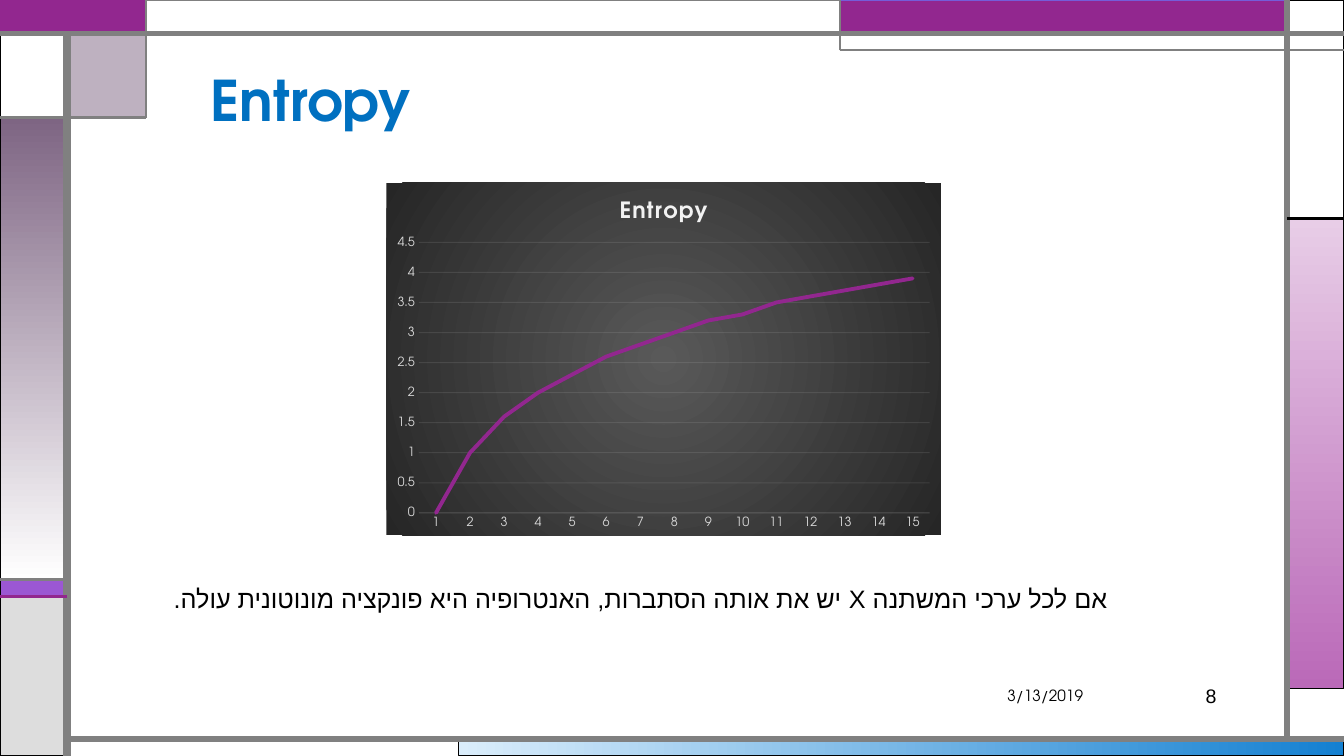
from dataclasses import dataclass
from math import log2

from lxml import etree
from pptx import Presentation
from pptx import util as u
from pptx.chart.data import CategoryChartData
from pptx.dml.color import RGBColor
from pptx.enum import chart as ch
from pptx.enum import shapes, text
from pptx.oxml import parse_xml
from pptx.oxml.ns import nsdecls, qn

PX = 9525  # EMU in one px, 96 px to the inch
HEAD, SANS = "TeX Gyre Adventor", "Arial"
GREY, PLUM, MAUVE = "808080", "92278F", "7E6583"
WHITE, BLACK, PALE, MIST = "FFFFFF", "000000", "F2F2F2", "D9D9D9"

# Grid of the frame
W, H = 1280, 720
LEFT, TAB, MID, RIGHT = 64, 139, 800, 1226
TOP, STEP, BASE = 32, 112, 704


@dataclass
class Panel:
    box: tuple[int, int, int, int]  # left, top, right, bottom
    fill: str
    to: str = ""  # second colour of a gradient
    angle: int = 90  # clockwise
    alpha: int = 100
    line: str = BLACK
    width: float = 0.75


@dataclass
class Rule:
    ends: tuple[int, int, int, int]
    width: float
    hue: str = GREY


@dataclass
class Label:
    box: tuple[int, int, int, int]  # left, top, width, height
    words: str
    size: int
    font: str = SANS
    hue: str = BLACK
    bold: bool = False
    align: text.PP_ALIGN = text.PP_ALIGN.RIGHT
    anchor: text.MSO_ANCHOR = text.MSO_ANCHOR.MIDDLE
    rtl: bool = False
    space: float = 1.0


PANELS = [
    Panel((437, BASE, W, H), "DAEDFB", "1480D1", 0),
    Panel((RIGHT, 208, W, 656), "E8CDE7", "BA69B8"),
    Panel((0, 552, LEFT, 568), "9B57D3"),
    Panel((0, 568, LEFT, H), "DDDDDD"),
    Panel((RIGHT, 0, W, 208), WHITE),
    Panel((MID, 0, RIGHT, TOP), PLUM, line="755DD9"),
    Panel((LEFT, TOP, TAB, STEP), MAUVE, alpha=50),
    Panel((0, STEP, LEFT, 552), MAUVE, WHITE),
    Panel((0, TOP, LEFT, STEP), WHITE),
    Panel((0, 0, TAB, TOP), PLUM, line=PLUM, width=1.5),
    Panel((TAB, 0, MID, TOP), WHITE, line=GREY),
]
RULES = [
    Rule((LEFT, H, LEFT, TOP), 6),
    Rule((LEFT, BASE, W, BASE), 4.5),
    Rule((RIGHT, BASE, RIGHT, 0), 4.5),
    Rule((0, TOP, W, TOP), 3),
    Rule((W, 48, MID, 48), 1.5),
    Rule((MID, 48, MID, 0), 1.5),
    Rule((RIGHT, 208, W, 208), 2.25, BLACK),
    Rule((TAB, 0, TAB, STEP), 1.5),
    Rule((TAB, STEP, 0, STEP), 2.25),
    Rule((LEFT, 552, 0, 552), 2.25),
    Rule((LEFT, 568, 0, 568), 2.25, PLUM),
]
LABELS = [
    Label((-208, 12, 1008, 120), "Entropy", 40, HEAD, "0070C0", True,
          text.PP_ALIGN.CENTER, text.MSO_ANCHOR.BOTTOM, True, 0.9),
    Label((1064, 648, 104, 29), "8", 14),
    Label((120, 551, 944, 39),
          "אם לכל ערכי המשתנה X יש את אותה הסתברות, "
          "האנטרופיה היא פונקציה מונוטונית עולה.",
          18, anchor=text.MSO_ANCHOR.TOP, rtl=True),
    Label((903, 648, 138, 29), "3/13/2019", 11, HEAD),
]


def px(*nums: int) -> list[u.Emu]:
    return [u.Emu(n * PX) for n in nums]


def rgb(code: str) -> RGBColor:
    return RGBColor.from_string(code)


def fade(node, pct: int) -> None:
    etree.SubElement(node, qn("a:alpha")).set("val", str(pct * 1000))


def stroke(line, hue: str, width: float) -> None:
    line.color.rgb = rgb(hue)
    line.width = u.Pt(width)


def style(font, size: int, hue: str, name: str = HEAD, bold: bool = False) -> None:
    font.size, font.name, font.bold = u.Pt(size), name, bold
    font.color.rgb = rgb(hue)


def add_panel(slide, p: Panel) -> None:
    x, y, right, end = p.box
    rect = slide.shapes.add_shape(shapes.MSO_SHAPE.RECTANGLE,
                                  *px(x, y, right - x, end - y))
    rect.shadow.inherit = False
    if p.to:
        rect.fill.gradient()
        rect.fill.gradient_angle = -p.angle % 360
        for stop, hue in zip(rect.fill.gradient_stops, (p.fill, p.to)):
            stop.color.rgb = rgb(hue)
    else:
        rect.fill.solid()
        rect.fill.fore_color.rgb = rgb(p.fill)
        if p.alpha < 100:
            fade(rect._element.spPr.xpath("./a:solidFill/a:srgbClr")[0], p.alpha)
    stroke(rect.line, p.line, p.width)


def add_rule(slide, r: Rule) -> None:
    line = slide.shapes.add_connector(shapes.MSO_CONNECTOR.STRAIGHT, *px(*r.ends))
    stroke(line.line, r.hue, r.width)
    etree.SubElement(line._element.spPr, qn("a:effectLst"))


def add_label(slide, l: Label) -> None:
    frame = slide.shapes.add_textbox(*px(*l.box)).text_frame
    frame.word_wrap = True
    frame.vertical_anchor = l.anchor
    para = frame.paragraphs[0]
    para.alignment, para.line_spacing = l.align, l.space
    if l.rtl:
        para._p.get_or_add_pPr().set("rtl", "1")
    run = para.add_run()
    run.text = l.words
    style(run.font, l.size, l.hue, l.font, l.bold)
    etree.SubElement(run._r.get_or_add_rPr(), qn("a:cs")).set("typeface", l.font)


def add_curve(slide) -> None:
    # Entropy of n equally likely values
    data = CategoryChartData()
    data.categories = [str(n) for n in range(1, 16)]
    data.add_series("Series 1", [round(log2(n), 1) for n in range(1, 16)])
    chart = slide.shapes.add_chart(ch.XL_CHART_TYPE.LINE,
                                   *px(368, 174, 528, 336), data).chart
    chart.has_legend = False
    style(chart.font, 10, BLACK)

    # Title
    chart.has_title = True
    run = chart.chart_title.text_frame.paragraphs[0].add_run()
    run.text = "Entropy"
    style(run.font, 16, PALE, bold=True)
    run._r.get_or_add_rPr().set("spc", "100")
    chart.chart_title.include_in_layout = False

    # Axes and grid
    cat, val = chart.category_axis, chart.value_axis
    for axis in (cat, val):
        axis.major_tick_mark = axis.minor_tick_mark = ch.XL_TICK_MARK.NONE
        style(axis.tick_labels.font, 9, MIST)
    val.minimum_scale, val.maximum_scale, val.major_unit = 0, 4.5, 0.5
    val.format.line.fill.background()
    for part in (cat, val.major_gridlines):
        stroke(part.format.line, PALE, 0.75)
    space = chart._chartSpace
    for node in space.xpath("//c:majorGridlines//a:srgbClr"
                            " | //c:catAx/c:spPr//a:srgbClr"):
        fade(node, 10)

    # Curve
    chart.plots[0].vary_by_categories = False
    curve = chart.plots[0].series[0]
    curve.smooth = False
    curve.marker.style = ch.XL_MARKER_STYLE.NONE
    stroke(curve.format.line, PLUM, 2.75)
    curve.format.line._get_or_add_ln().set("cap", "rnd")

    # Radial backdrop
    space.find(qn("c:chart")).addnext(parse_xml(
        f'<c:spPr {nsdecls("c", "a")}><a:gradFill><a:gsLst>'
        '<a:gs pos="0"><a:srgbClr val="595959"/></a:gs>'
        '<a:gs pos="100000"><a:srgbClr val="262626"/></a:gs></a:gsLst>'
        '<a:path path="circle"><a:fillToRect l="50000" t="50000" r="50000"'
        ' b="50000"/></a:path></a:gradFill><a:ln><a:noFill/></a:ln></c:spPr>'))


def main() -> None:
    deck = Presentation()
    deck.slide_width, deck.slide_height = px(W, H)
    slide = deck.slides.add_slide(deck.slide_layouts[6])
    for panel in PANELS:
        add_panel(slide, panel)
    for rule in RULES:
        add_rule(slide, rule)
    add_curve(slide)
    for label in LABELS:
        add_label(slide, label)
    deck.save("out.pptx")


if __name__ == "__main__":
    main()
